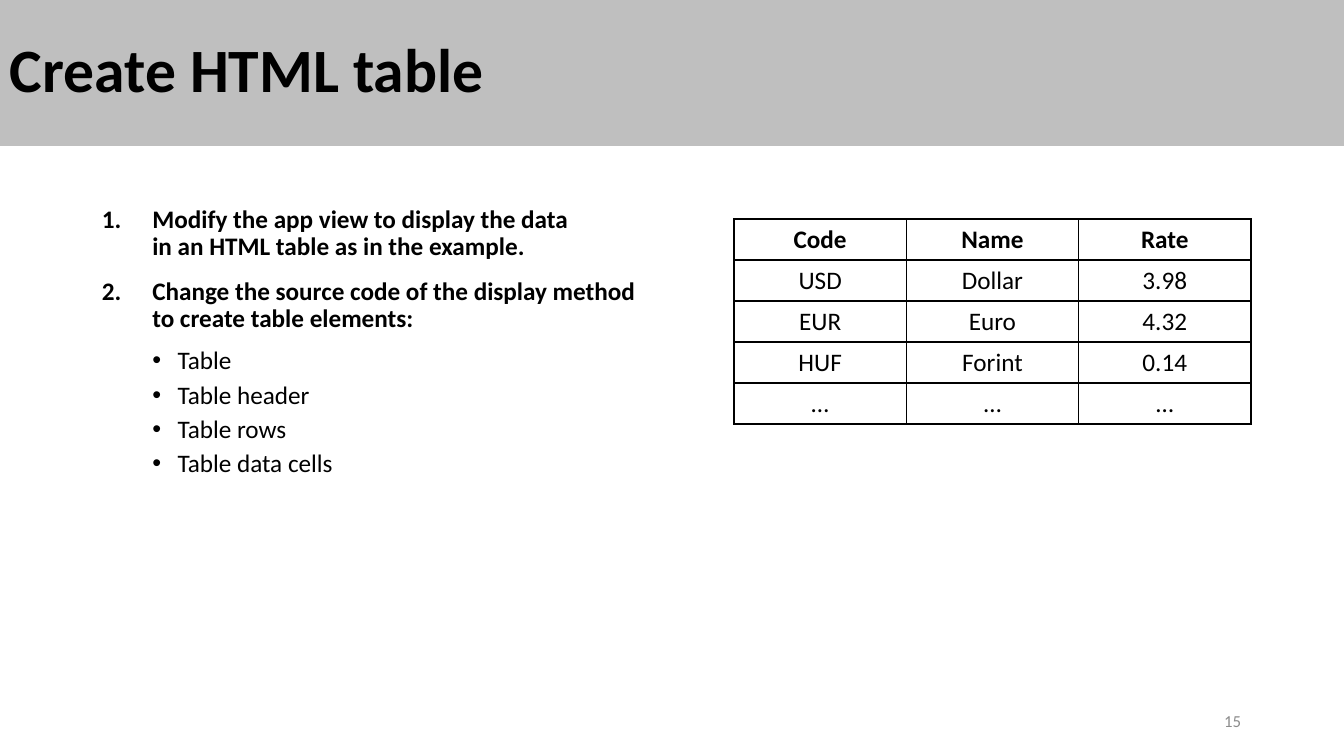
import pptx
import pptx.util
import pptx.dml.color
import pptx.enum.shapes
import pptx.enum.text
import pptx.oxml.ns
import lxml.etree

BLACK = pptx.dml.color.RGBColor(0x00, 0x00, 0x00)
BAND_GRAY = pptx.dml.color.RGBColor(0xBF, 0xBF, 0xBF)
NUMBER_GRAY = pptx.dml.color.RGBColor(0x8C, 0x8C, 0x8C)
ALIGN = pptx.enum.text.PP_ALIGN
MIDDLE = pptx.enum.text.MSO_ANCHOR.MIDDLE
qn = pptx.oxml.ns.qn


def px(count):
    return pptx.util.Emu(round(count * 914400 / 100.8))


def add_span(para, text, size=18, bold=False, color=BLACK):
    span = para.add_run()
    span.text = text
    span.font.name = "Calibri"
    span.font.size = pptx.util.Pt(size)
    span.font.bold = bold
    span.font.color.rgb = color


deck = pptx.Presentation()
deck.slide_width = px(1344)
deck.slide_height = px(756)
page = deck.slides.add_slide(deck.slide_layouts[6])

tasks = [
    (0, ["Modify the app view to display the data", "in an HTML table as in the example."]),
    (0, ["Change the source code of the display method", "to create table elements:"]),
    (1, ["Table"]),
    (1, ["Table header"]),
    (1, ["Table rows"]),
    (1, ["Table data cells"]),
]
task_box = page.shapes.add_textbox(px(92), px(202), px(1159), px(480))
task_box.text_frame.word_wrap = True
for index, (level, lines) in enumerate(tasks):
    frame = task_box.text_frame
    para = frame.add_paragraph() if index else frame.paragraphs[0]
    para.level = level
    para.line_spacing = 0.9
    para.space_before = pptx.util.Pt(5 if level else 6)
    para.space_after = pptx.util.Pt(0 if level else 6)
    properties = para._p.get_or_add_pPr()
    margin, indent = (0.75, -0.25) if level else (0.5, -0.5)
    properties.set("marL", str(pptx.util.Inches(margin)))
    properties.set("indent", str(pptx.util.Inches(indent)))
    if level:
        lxml.etree.SubElement(properties, qn("a:buFont"), typeface="Arial")
        lxml.etree.SubElement(properties, qn("a:buChar"), char="•")
    else:
        lxml.etree.SubElement(properties, qn("a:buAutoNum"), type="arabicPeriod")
    for position, line in enumerate(lines):
        if position:
            para.add_line_break()
        add_span(para, line, bold=level == 0)

number_box = page.shapes.add_textbox(px(949), px(701), px(302), px(40))
number_box.text_frame.word_wrap = True
number_box.text_frame.vertical_anchor = MIDDLE
number_para = number_box.text_frame.paragraphs[0]
number_para.alignment = ALIGN.RIGHT
add_span(number_para, "15", size=12, color=NUMBER_GRAY)

title_band = page.shapes.add_shape(
    pptx.enum.shapes.MSO_SHAPE.RECTANGLE, 0, 0, px(1344), px(146)
)
title_band.shadow.inherit = False
title_band.fill.solid()
title_band.fill.fore_color.rgb = BAND_GRAY
title_band.line.fill.background()
title_band.text_frame.word_wrap = True
title_band.text_frame.vertical_anchor = MIDDLE
title_para = title_band.text_frame.paragraphs[0]
title_para.alignment = ALIGN.LEFT
title_para.line_spacing = 0.9
add_span(title_para, "Create HTML table", size=44, bold=True)

rates = [
    ["Code", "Name", "Rate"],
    ["USD", "Dollar", "3.98"],
    ["EUR", "Euro", "4.32"],
    ["HUF", "Forint", "0.14"],
    ["…", "…", "…"],
]
rate_table = page.shapes.add_table(5, 3, px(734), px(219), px(517), px(205)).table
rate_table.first_row = False
rate_table.horz_banding = False
for column in rate_table.columns:
    column.width = round(px(517) / 3)
for row_index, values in enumerate(rates):
    rate_table.rows[row_index].height = px(41)
    for column_index, value in enumerate(values):
        cell = rate_table.cell(row_index, column_index)
        para = cell.text_frame.paragraphs[0]
        para.alignment = ALIGN.CENTER
        add_span(para, value, bold=row_index == 0)
        for side in ("lnL", "lnR", "lnT", "lnB"):
            border = lxml.etree.SubElement(
                cell._tc.get_or_add_tcPr(), qn("a:" + side), w=str(pptx.util.Pt(1))
            )
            paint = lxml.etree.SubElement(border, qn("a:solidFill"))
            lxml.etree.SubElement(paint, qn("a:srgbClr"), val=str(BLACK))
        cell.fill.background()

deck.save("out.pptx")
